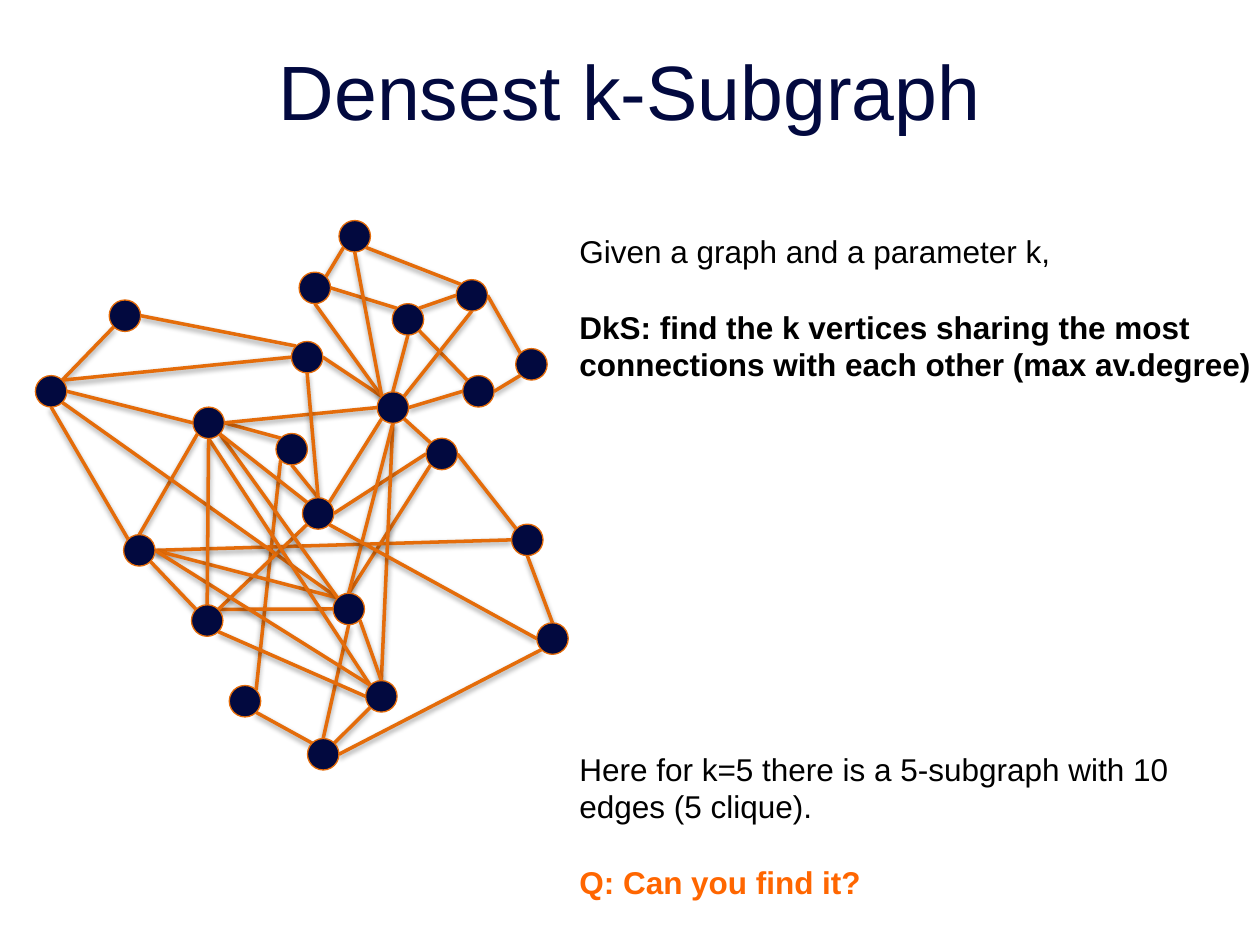
from math import cos, radians, sin

from lxml import etree
from pptx import Presentation
from pptx.dml.color import RGBColor
from pptx.enum.shapes import MSO_CONNECTOR, MSO_SHAPE
from pptx.enum.text import PP_ALIGN
from pptx.util import Pt

OVAL = MSO_SHAPE.OVAL
STRAIGHT = MSO_CONNECTOR.STRAIGHT
CENTER = PP_ALIGN.CENTER
NAVY, ORANGE, BRIGHT_ORANGE, BLACK = "02093F", "E46C0A", "FF6600", "000000"
DIAMETER = 18
SHADOW = (
    '<a:effectLst xmlns:a="http://schemas.openxmlformats.org/drawingml/2006/main">'
    '<a:outerShdw blurRad="40000" dist="20000" dir="5400000" rotWithShape="0">'
    '<a:srgbClr val="000000"><a:alpha val="38000"/></a:srgbClr>'
    "</a:outerShdw></a:effectLst>"
)
ANGLES = {
    name: 45 * step
    for step, name in enumerate(["E", "SE", "S", "SW", "W", "NW", "N", "NE"])
}

VERTICES = {
    "a": (110.2, 232.6), "b": (157.7, 247.7), "c": (20.2, 214.6),
    "d": (70.6, 305.5), "e": (109.4, 345.6), "f": (131, 391.7),
    "g": (243.4, 250.4), "h": (292.3, 299.5), "i": (172.8, 284.4),
    "j": (190.3, 339), "k": (175.7, 422), "l": (306.7, 355.9),
    "m": (166.5, 195.1), "n": (215.5, 223.9), "o": (62.4, 171.4),
    "p": (208.9, 388.9), "q": (224.1, 173.5), "r": (264.4, 214.6),
    "s": (170.9, 155.5), "t": (260.6, 159.8), "u": (294.7, 199.2),
    "v": (193.7, 126),
}
EDGES = """
a E b NW, b SW f NE, d SE e NW, c E a W, a SW d N, g E h NW, h S l N, j S k N,
i E g W, g SW j N, f SE k NW, e NE j W, d E h W, c S d NW, c SE j NW, m E n NW,
n S p N, o E m NW, n SE g NW, c NE o SW, i SW e NE, a E n W, n S j N, j NW d E,
j NW a SE, p N j SE, p NW a S, p W e SE, d E p NW, e N a S, k NE p SW, k E l SW,
i SE l W, i N b S, i N m S, i NW a SE, i NE n SW, c NE m W, q SE r NW, s E q NW,
s S n NW, q S n N, n E r W, t E u NW, v SE t NW, s NE v SW, q NE t W, r E u SW,
n NE t S, v S n NW
"""
TEXTS = [
    (36, 21.6, 648, 90, [("Densest k-Subgraph", 44, NAVY, False, CENTER)]),
    (324, 128.9, 404.6, 138.2, [
        ("Given a graph and a parameter k,", 18, BLACK, False, None),
        ("DkS: find the k vertices sharing the most connections "
         "with each other (max av.degree)", 18, BLACK, True, None),
    ]),
    (324, 424.8, 360, 94.3, [
        ("Here for k=5 there is a 5-subgraph with 10 edges (5 clique).",
         18, BLACK, False, None),
        ("Q: Can you find it?", 18, BRIGHT_ORANGE, True, None),
    ]),
]


def color(value):
    return RGBColor.from_string(value)


def rim_point(vertex, side):
    left, top = VERTICES[vertex]
    angle = radians(ANGLES[side])
    radius = DIAMETER / 2
    return (Pt(left + radius + radius * cos(angle)),
            Pt(top + radius + radius * sin(angle)))


presentation = Presentation()
presentation.slide_width, presentation.slide_height = Pt(720), Pt(540)
slide = presentation.slides.add_slide(presentation.slide_layouts[6])

for edge in EDGES.split(","):
    start, start_side, end, end_side = edge.split()
    connector = slide.shapes.add_connector(
        STRAIGHT, *rim_point(start, start_side), *rim_point(end, end_side))
    connector.line.color.rgb = color(ORANGE)
    connector.line.width = Pt(2)
    connector._element.spPr.append(etree.fromstring(SHADOW))

for left, top in VERTICES.values():
    vertex = slide.shapes.add_shape(
        OVAL, Pt(left), Pt(top), Pt(DIAMETER), Pt(DIAMETER))
    vertex.shadow.inherit = False
    vertex.fill.solid()
    vertex.fill.fore_color.rgb = color(NAVY)
    vertex.line.color.rgb = color(ORANGE)
    vertex.line.width = Pt(0.75)

for left, top, width, height, lines in TEXTS:
    text_box = slide.shapes.add_textbox(Pt(left), Pt(top), Pt(width), Pt(height))
    frame = text_box.text_frame
    frame.word_wrap = True
    for index, (text, size, ink, bold, alignment) in enumerate(lines):
        paragraph = frame.paragraphs[0] if index == 0 else frame.add_paragraph()
        paragraph.text = text
        paragraph.alignment = alignment
        if index:
            paragraph.space_before = Pt(21.7)
        paragraph.font.name = "Arial"
        paragraph.font.size = Pt(size)
        paragraph.font.bold = bold
        paragraph.font.color.rgb = color(ink)

presentation.save("out.pptx")
